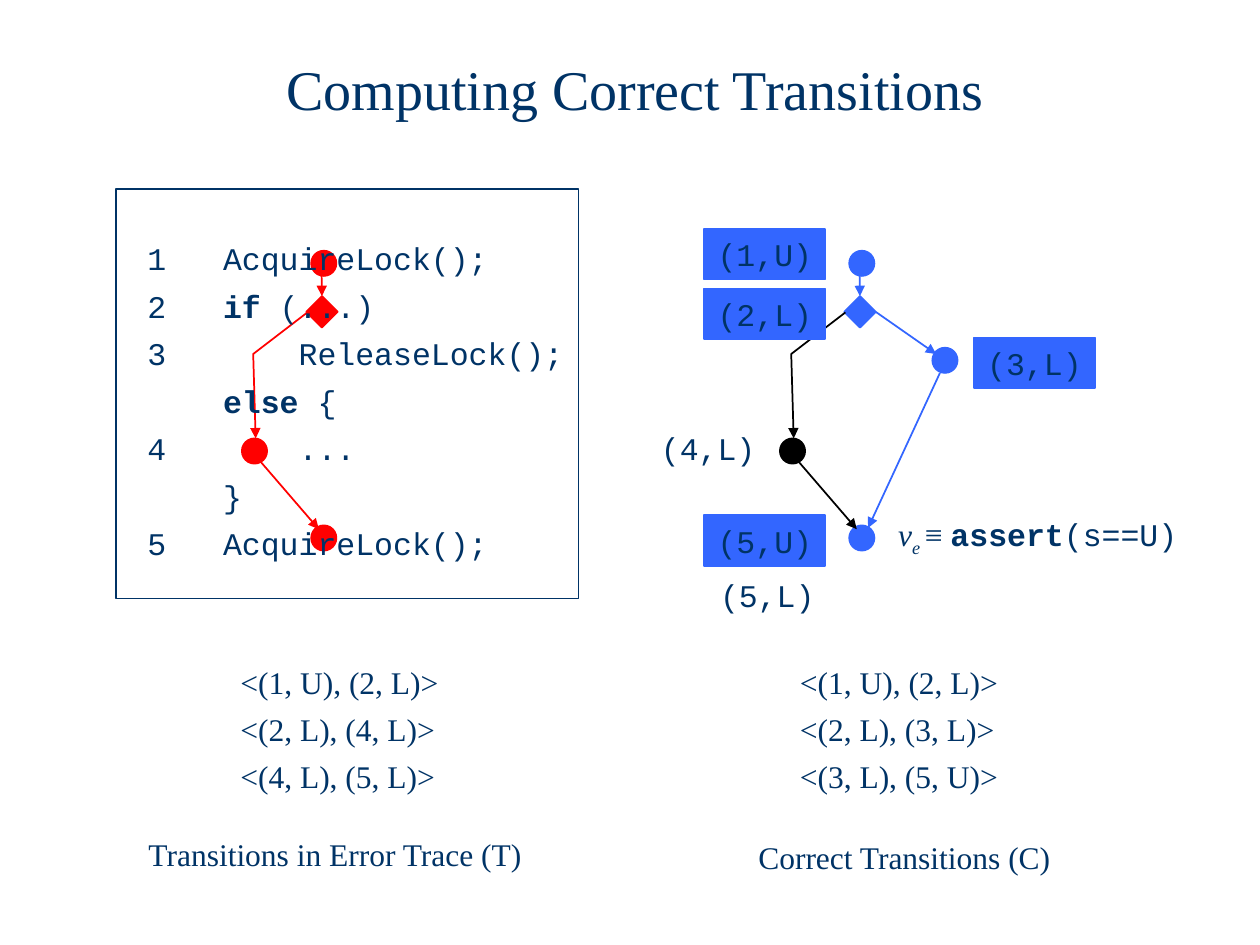
from dataclasses import dataclass

from pptx import Presentation
from pptx.dml.color import RGBColor as Color
from pptx.enum.shapes import MSO_CONNECTOR as Connector, MSO_SHAPE as Shape
from pptx.enum.text import MSO_ANCHOR as Anchor, MSO_AUTO_SIZE as AutoSize, PP_ALIGN as Align
from pptx.oxml.ns import qn
from pptx.util import Inches, Pt
from lxml.etree import SubElement


@dataclass(frozen=True)
class Theme:
    """Colours, fonts and sizes of the slide."""
    ink: Color = Color(0x00, 0x33, 0x66)
    error: Color = Color(0xFF, 0x00, 0x00)
    correct: Color = Color(0x33, 0x66, 0xFF)
    other: Color = Color(0x00, 0x00, 0x00)
    serif: str = "Times New Roman"
    mono: str = "Courier New"
    title: Pt = Pt(32)
    body: Pt = Pt(18)
    gap: Pt = Pt(5.5)
    line: Pt = Pt(1)
    border: Pt = Pt(0.75)


def apply(target, formats):
    """Set each format value as an attribute of the target."""
    for name, value in formats.items():
        setattr(target, name, value)


def box(*lengths):
    """Turn left, top, width and height in inches into lengths."""
    return [Inches(length) for length in lengths]


class SlideBuilder:
    """Draws styled elements on the current slide."""

    def __init__(self, slide, theme):
        """Keep the slide and its style."""
        self.slide = slide
        self.shapes = slide.shapes
        self.theme = theme

    def fill_frame(self, frame, paragraphs, align=Align.LEFT, **run_format):
        """Write paragraphs, each a list of (text, format) runs."""
        for index, runs in enumerate(paragraphs):
            paragraph = frame.paragraphs[0] if index == 0 else frame.add_paragraph()
            apply(paragraph, {"alignment": align, "space_before": self.theme.gap,
                              "line_spacing": 1.0})
            for text, extra in runs:
                run = paragraph.add_run()
                run.text = text
                apply(run.font, {"name": self.theme.serif, "size": self.theme.body,
                                 **run_format, **extra})
                run.font.color.rgb = self.theme.ink

    def title(self, text, place):
        """Fill the title placeholder."""
        shape = self.shapes.title
        apply(shape, dict(zip(("left", "top", "width", "height"), box(*place))))
        apply(shape.text_frame, {"vertical_anchor": Anchor.MIDDLE, "auto_size": AutoSize.NONE})
        self.fill_frame(shape.text_frame, [[(text, {})]], Align.CENTER, size=self.theme.title)
        apply(shape.text_frame.paragraphs[0], {"line_spacing": 0.85, "space_before": Pt(0)})

    def code(self, lines, place):
        """Fill the body placeholder with (number, depth, runs) lines, in front of the rest."""
        shape = self.slide.placeholders[1]
        apply(shape, dict(zip(("left", "top", "width", "height"), box(*place))))
        shape.line.color.rgb = self.theme.ink
        shape.line.width = self.theme.border
        frame = shape.text_frame
        apply(frame, {"vertical_anchor": Anchor.TOP, "auto_size": AutoSize.NONE,
                      "margin_top": Inches(0.4)})
        paragraphs = [([(f"{number}\t", {})] if number else []) + runs
                      for number, _, runs in lines]
        self.fill_frame(frame, paragraphs, name=self.theme.mono)
        for paragraph, (number, depth, _) in zip(frame.paragraphs, lines):
            margin = 0.75 + 0.6 * depth
            properties = paragraph._p.get_or_add_pPr()
            properties.set("marL", str(Inches(margin)))
            properties.set("indent", str(Inches(0.15 - margin) if number else 0))
            SubElement(properties, qn("a:buNone"))
        self.shapes._spTree.append(shape._element)

    def text(self, paragraphs, place, align=Align.LEFT, **run_format):
        """Add a text box and return its frame."""
        frame = self.shapes.add_textbox(*box(*place)).text_frame
        frame.word_wrap = True
        self.fill_frame(frame, paragraphs, align, **run_format)
        return frame

    def plain(self, lines, place):
        """Add a text box of unformatted lines."""
        self.text([[(line, {})] for line in lines], place)

    def node(self, kind, place, color):
        """Add a filled preset shape."""
        shape = self.shapes.add_shape(kind, *box(*place))
        shape.shadow.inherit = False
        shape.fill.solid()
        shape.fill.fore_color.rgb = color
        shape.line.color.rgb = color
        shape.line.width = self.theme.line
        return shape

    def state(self, label, left, top, filled=True):
        """Add a state label, on a filled rectangle or bare."""
        place, runs = (left, top, 0.96, 0.4), [[(label, {})]]
        if not filled:
            self.text(runs, place, Align.CENTER, name=self.theme.mono)
            return
        frame = self.node(Shape.RECTANGLE, place, self.theme.correct).text_frame
        apply(frame, {"vertical_anchor": Anchor.TOP, "word_wrap": False})
        self.fill_frame(frame, runs, Align.CENTER, name=self.theme.mono)

    def arrowhead(self, shape, color):
        """Style a line and put a triangle at its end."""
        shape.line.color.rgb = color
        shape.line.width = self.theme.line
        SubElement(shape.line._get_or_add_ln(), qn("a:tailEnd"), type="triangle")

    def arrow(self, start, end, color):
        """Add a straight arrow."""
        connector = self.shapes.add_connector(Connector.STRAIGHT, *box(*start, *end))
        self.arrowhead(connector, color)
        SubElement(connector._element.spPr, qn("a:effectLst"))
        return connector

    def bent_arrow(self, points, color):
        """Add an open outline that ends in an arrowhead."""
        start, *rest = [box(*point) for point in points]
        builder = self.shapes.build_freeform(*start)
        builder.add_line_segments(rest, close=False)
        shape = builder.convert_to_shape()
        shape.fill.background()
        self.arrowhead(shape, color)
        shape.shadow.inherit = False

    def flow(self, left, main, branch):
        """Draw the path from the first statement to the last and return its diamond."""
        for x, y, color in ((0.55, 1.99, main), (0, 3.48, branch), (0.55, 4.17, main)):
            self.node(Shape.OVAL, (left + x, y, 0.2, 0.2), color)
        diamond = self.node(Shape.DIAMOND, (left + 0.51, 2.35, 0.25, 0.25), main)
        self.arrow((left + 0.11, 3.62), (left + 0.61, 4.2), branch)
        self.arrow((left + 0.63, 2.01), (left + 0.63, 2.35), main).end_connect(diamond, 0)
        self.bent_arrow([(left + 0.52, 2.48), (left + 0.09, 2.81), (left + 0.11, 3.48)], branch)
        return diamond


def main():
    """Build the slide and save it."""
    presentation = Presentation()
    apply(presentation, {"slide_width": Inches(10), "slide_height": Inches(7.5)})
    theme = Theme()
    builder = SlideBuilder(presentation.slides.add_slide(presentation.slide_layouts[1]), theme)
    builder.title("Computing Correct Transitions", (1.33, 0.33, 7.42, 0.82))

    builder.flow(1.92, theme.error, theme.error)
    builder.plain(["<(1, U), (2, L)>", "<(2, L), (4, L)>", "<(4, L), (5, L)>"],
                  (1.81, 5.21, 2.36, 1.13))
    builder.plain(["Transitions in Error Trace (T)"], (1.08, 6.58, 3.25, 0.4))

    diamond = builder.flow(6.19, theme.correct, theme.other)
    builder.node(Shape.OVAL, (7.4, 2.76, 0.2, 0.2), theme.correct)
    builder.arrow((6.95, 2.48), (7.43, 2.81), theme.correct).begin_connect(diamond, 3)
    builder.arrow((7.46, 2.96), (6.89, 4.19), theme.correct)
    builder.plain(["<(1, U), (2, L)>", "<(2, L), (3, L)>", "<(3, L), (5, U)>"],
                  (6.25, 5.21, 2.92, 1.13))
    builder.plain(["Correct Transitions (C)"], (5.92, 6.6, 3.25, 0.4))

    bold = {"bold": True}
    mono = {"name": theme.mono}
    invariant = builder.text([[("v", {"italic": True}), ("e ", {"italic": True}), ("≡ ", {}),
                               ("assert", {**mono, **bold}), ("(s==U)", mono)]],
                             (7.03, 4.04, 2.67, 0.44))
    invariant.paragraphs[0].runs[1].font._element.set("baseline", "-25000")

    for label, left, top in (("(1,U)", 5.59, 1.82), ("(2,L)", 5.59, 2.29),
                             ("(3,L)", 7.73, 2.68), ("(5,U)", 5.59, 4.09)):
        builder.state(label, left, top)
    builder.state("(4,L)", 5.14, 3.36, filled=False)
    builder.state("(5,L)", 5.61, 4.52, filled=False)

    builder.code([("1", 0, [("AcquireLock();", {})]),
                  ("2", 0, [("if", bold), (" (...)", {})]),
                  ("3", 1, [("ReleaseLock();", {})]),
                  ("", 0, [("else", bold), (" {", {})]),
                  ("4", 1, [("...", {})]),
                  ("", 0, [("}", {})]),
                  ("5", 0, [("AcquireLock();", {})])], (0.92, 1.5, 3.67, 3.25))
    presentation.save("out.pptx")


if __name__ == "__main__":
    main()
